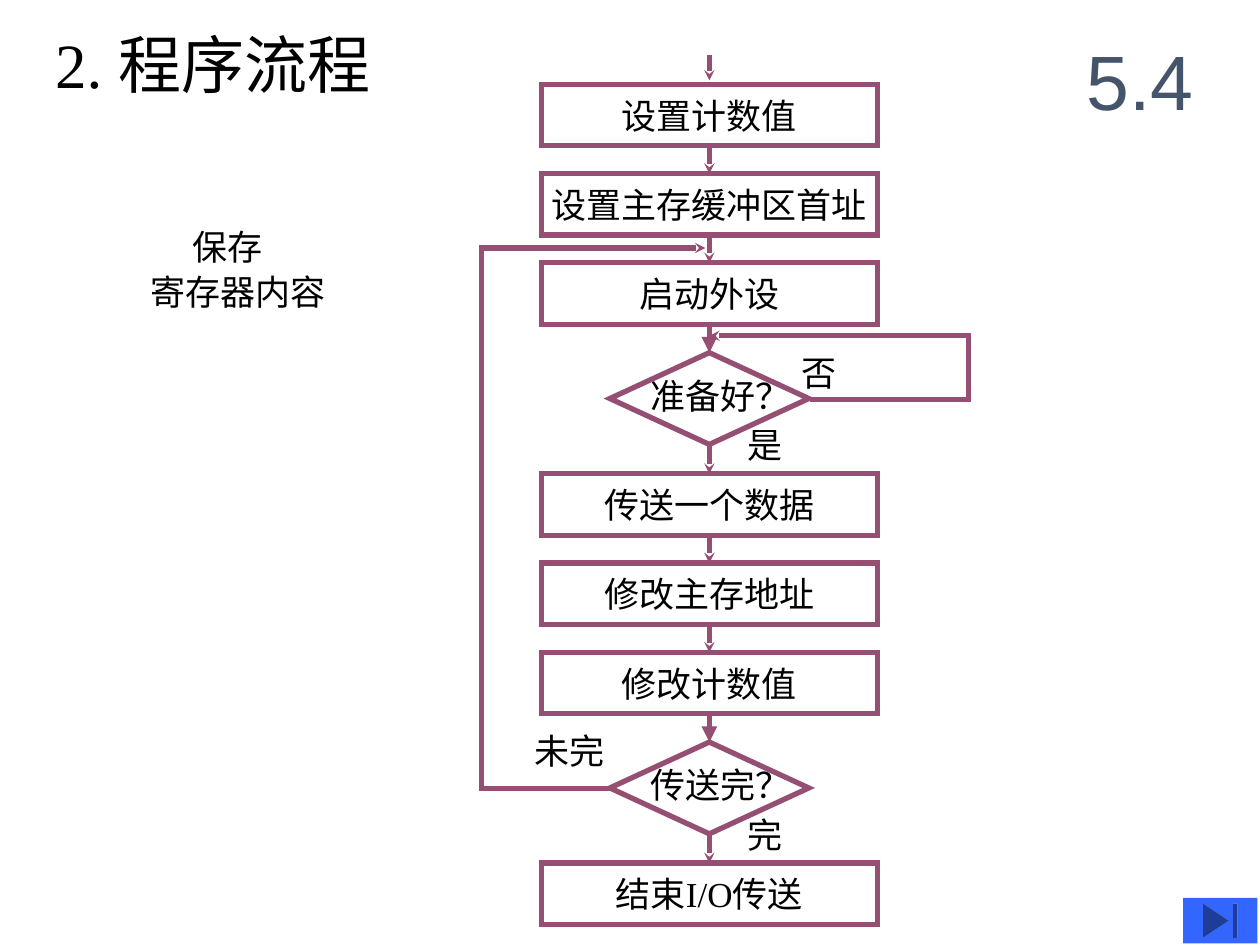
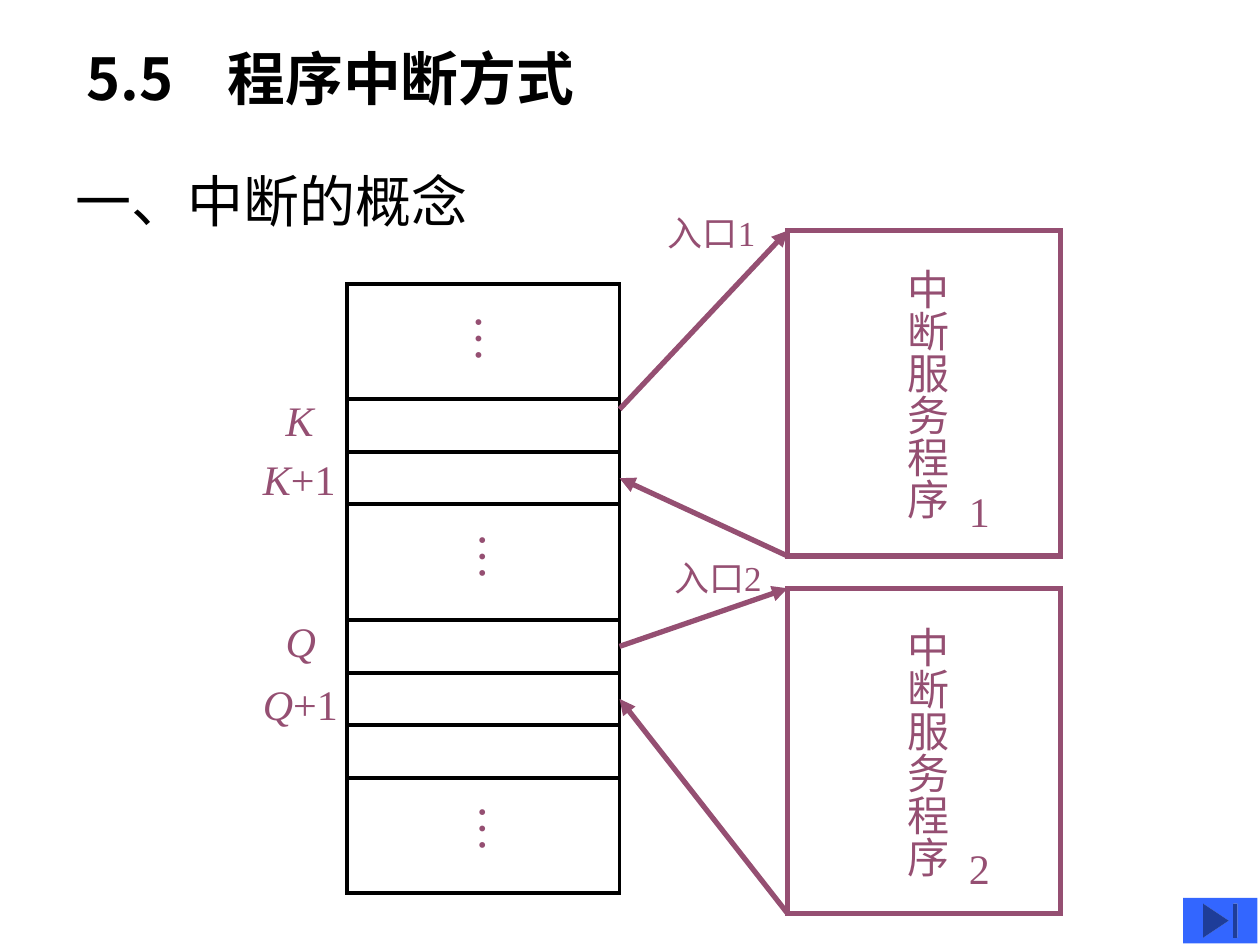
from lxml import etree
from pptx import Presentation
from pptx.dml.color import RGBColor
from pptx.enum.shapes import MSO_CONNECTOR, MSO_SHAPE
from pptx.enum.text import MSO_ANCHOR, MSO_AUTO_SIZE, PP_ALIGN
from pptx.oxml.ns import qn
from pptx.util import Cm, Pt

STRAIGHT = MSO_CONNECTOR.STRAIGHT
RECTANGLE = MSO_SHAPE.RECTANGLE
DIAMOND = MSO_SHAPE.DIAMOND
END_BUTTON = MSO_SHAPE.ACTION_BUTTON_END
MIDDLE = MSO_ANCHOR.MIDDLE
FIT_SHAPE = MSO_AUTO_SIZE.SHAPE_TO_FIT_TEXT
FIXED_SIZE = MSO_AUTO_SIZE.NONE
CENTER = PP_ALIGN.CENTER
TOP, LEFT, BOTTOM, RIGHT = range(4)

PLUM, BLACK, SLATE, BLUE, WHITE = "954F72", "000000", "44546A", "3366FF", "FFFFFF"
SERIF, SANS, CHINESE = "Times New Roman", "Arial", "Noto Sans CJK SC"
INSETS = {"margin_left": Cm(0.25), "margin_right": Cm(0.25),
          "margin_top": Cm(0.13), "margin_bottom": Cm(0.13)}
UPRIGHT_INSETS = {"margin_left": Cm(0.13), "margin_right": Cm(0.13),
                  "margin_top": Cm(0.25), "margin_bottom": Cm(0.25)}
BODY = {"name": SERIF, "size": Pt(20)}
LABEL = {"name": SERIF, "size": Pt(24)}
SPINE = 14.3
STEP_WIDTH, STEP_HEIGHT, STEP_PITCH = 6.78, 1.24, 1.8
CELL_LEFT, CELL_WIDTH = 6.99, 5.5
SERVICE_LEFT, SERVICE_HEIGHT = 15.88, 6.56


def colour(code):
    """Turn a hex string into a colour."""
    return RGBColor.from_string(code)


def apply(target, values):
    """Set every attribute named in a dict of format values."""
    for name, value in values.items():
        setattr(target, name, value)


def write(para, spans, look, tint=BLACK):
    """Fill a paragraph with (text, extra format) spans."""
    for text, extra in spans:
        span = para.add_run()
        span.text = text
        apply(span.font, {**look, **extra})
        span.font.color.rgb = colour(tint)
        etree.SubElement(span._r.get_or_add_rPr(), qn("a:ea"), typeface=CHINESE)


def add_text(page, bounds, text, look=BODY, tint=BLACK, **frame_format):
    """Add a text box holding one paragraph and return its frame."""
    frame = page.shapes.add_textbox(*map(Cm, bounds)).text_frame
    apply(frame, {**INSETS, "word_wrap": False, "auto_size": FIT_SHAPE, **frame_format})
    spans = [(text, {})] if isinstance(text, str) else text
    write(frame.paragraphs[0], spans, look, tint)
    return frame


def add_upright(page, bounds, text, size):
    """Add a text box whose characters run downwards."""
    look = {"name": SERIF, "size": Pt(size)}
    frame = add_text(page, bounds, text, look, PLUM, **UPRIGHT_INSETS)
    frame._txBody.bodyPr.set("vert", "eaVert")


def set_line(line, tint=PLUM, weight=3, head=None, size="med"):
    """Give a line its colour, weight, sharp corners and arrowhead."""
    line.color.rgb = colour(tint)
    line.width = Pt(weight)
    stroke = line._get_or_add_ln()
    etree.SubElement(stroke, qn("a:miter"), lim="800000")
    if head:
        etree.SubElement(stroke, qn("a:tailEnd"), type=head, w=size, len=size)


def add_outline(page, kind, bounds, tint=PLUM, weight=3):
    """Add an unfilled preset shape."""
    box = page.shapes.add_shape(kind, *map(Cm, bounds))
    box.shadow.inherit = False
    box.fill.background()
    set_line(box.line, tint, weight)
    return box


def add_step(page, top, text):
    """Add a process box centred on the spine."""
    box = add_outline(page, RECTANGLE, (SPINE - STEP_WIDTH / 2, top, STEP_WIDTH, STEP_HEIGHT))
    frame = box.text_frame
    apply(frame, {**INSETS, "word_wrap": False, "vertical_anchor": MIDDLE})
    frame.paragraphs[0].alignment = CENTER
    write(frame.paragraphs[0], [(text, {})], BODY)
    return box


def add_decision(page, top, text):
    """Add a decision diamond centred on the spine with its question."""
    width, height = 4.01, 1.85
    add_text(page, (12.86, top + 0.31, 3.4, 1.27), text)
    return add_outline(page, DIAMOND, (SPINE - width / 2, top, width, height))


def add_arrow(page, start, end, head="triangle", size="med", source=None, target=None):
    """Add a straight arrow, joined to (shape, site) pairs where given."""
    arrow = page.shapes.add_connector(STRAIGHT, *map(Cm, (*start, *end)))
    if source:
        arrow.begin_connect(*source)
    if target:
        arrow.end_connect(*target)
    set_line(arrow.line, head=head, size=size)
    etree.SubElement(arrow._element.spPr, qn("a:effectLst"))


def add_loop(page, points):
    """Add an angled return line ending in an arrowhead."""
    corners = [tuple(map(Cm, point)) for point in points]
    builder = page.shapes.build_freeform(*corners[0])
    builder.add_line_segments(corners[1:], close=False)
    loop = builder.convert_to_shape()
    loop.shadow.inherit = False
    loop.fill.background()
    set_line(loop.line, head="stealth", size="sm")


def add_page(deck):
    """Add a blank white page with the navigation button."""
    page = deck.slides.add_slide(deck.slide_layouts[6])
    page.background.fill.solid()
    page.background.fill.fore_color.rgb = colour(WHITE)
    button = page.shapes.add_shape(END_BUTTON, *map(Cm, (23.85, 18.1, 1.5, 0.92)))
    button.shadow.inherit = False
    button.fill.solid()
    button.fill.fore_color.rgb = colour(BLUE)
    button.line.fill.background()
    return page


def add_save_note(page):
    """Add the two-line note about saving registers."""
    frame = add_text(page, (2.36, 4.35, 5.54, 2.5), "保存", word_wrap=True)
    write(frame.add_paragraph(), [("寄存器内容", {})], BODY)
    for para, indent in zip(frame.paragraphs, (1.27, 0.43)):
        para.line_spacing = 1.08
        para._p.get_or_add_pPr().set("marL", str(Cm(indent)))


def build_flow(deck):
    """Build the program flow chart."""
    page = add_page(deck)
    add_text(page, (0.86, 0.39, 7.3, 2.1), "2. 程序流程", {"name": SERIF, "size": Pt(36)})
    number = add_text(page, (21.39, 0.43, 3.18, 2.34), "5.4", {"name": SANS, "size": Pt(44)},
                      SLATE, word_wrap=True, auto_size=FIXED_SIZE, vertical_anchor=MIDDLE)
    number.paragraphs[0].alignment = CENTER
    add_save_note(page)

    setup = [add_step(page, 1.7 + row * STEP_PITCH, text)
             for row, text in enumerate(("设置计数值", "设置主存缓冲区首址", "启动外设"))]
    ready = add_decision(page, 7.11, "准备好？")
    transfer = [add_step(page, 9.55 + row * STEP_PITCH, text)
                for row, text in enumerate(("传送一个数据", "修改主存地址", "修改计数值"))]
    done = add_decision(page, 14.96, "传送完？")
    finish = add_step(page, 17.4, "结束I/O传送")

    chain = [*setup, ready, *transfer, done, finish]
    origin = (SPINE, 0)
    add_arrow(page, (SPINE, 1.1), (SPINE, 1.62), "stealth", "sm")
    for upper, lower in zip(chain, chain[1:]):
        head = ("triangle", "med") if lower in (ready, done) else ("stealth", "sm")
        add_arrow(page, origin, origin, *head, source=(upper, BOTTOM), target=(lower, TOP))

    add_loop(page, [(16.33, 8.05), (19.53, 8.05), (19.53, 6.77), (SPINE, 6.77)])
    add_loop(page, [(12.29, 15.9), (9.7, 15.9), (9.7, 5), (14.22, 5)])
    for left, top, width, answer in ((15.9, 6.96, 1.3, "否"), (14.81, 8.41, 1.3, "是"),
                                     (10.52, 14.58, 2.1, "未完"), (14.81, 16.26, 1.3, "完")):
        add_text(page, (left, top, width, 1.27), answer)


def add_memory(page):
    """Add the column of memory cells and return them."""
    tall, short = 2.33, 1.06
    top, cells = 5.72, []
    for height in (tall, short, short, tall, short, short, short, tall):
        cells.append(add_outline(page, RECTANGLE, (CELL_LEFT, top, CELL_WIDTH, height), BLACK, 2.25))
        top += height
    for left, dots_top in ((9.04, 6.09), (9.12, 10.49), (9.12, 15.97)):
        add_upright(page, (left, dots_top, 1.68, 1.5), "…", 28)
    italic = {"italic": True}
    for letter, tops in (("K", (7.82, 9.02)), ("Q", (12.27, 13.54))):
        add_text(page, (5.51, tops[0], 1.2, 1.27), [(letter, italic)], LABEL, PLUM)
        add_text(page, (5.05, tops[1], 2.2, 1.27), [(letter, italic), ("+1", {})], LABEL, PLUM)
    return cells


def add_service(page, number, top, entry, call_top, call_cell, return_cell):
    """Add an interrupt service box with its call and return arrows."""
    bottom, edge = top + SERVICE_HEIGHT, CELL_LEFT + CELL_WIDTH
    add_outline(page, RECTANGLE, (SERVICE_LEFT, top, 5.5, SERVICE_HEIGHT))
    add_upright(page, (17.81, top + 0.52, 1.52, 5.6), "中断服务程序", 24)
    add_text(page, (19.28, top + 5, 1, 1.27), number, LABEL, PLUM)
    add_text(page, (*entry, 2.6, 1.27), "入口" + number, BODY, PLUM)
    add_arrow(page, (edge, call_top), (SERVICE_LEFT, top),
              source=call_cell and (call_cell, RIGHT))
    add_arrow(page, (SERVICE_LEFT, bottom), (edge, bottom), target=(return_cell, RIGHT))


def build_interrupt(deck):
    """Build the interrupt concept diagram."""
    page = add_page(deck)
    title = add_text(page, (1.5, 0.05, 21.59, 3.18), "5.5\t程序中断方式",
                     {"name": CHINESE, "size": Pt(33), "bold": True}, word_wrap=True,
                     auto_size=FIXED_SIZE, vertical_anchor=MIDDLE)
    heading = title.paragraphs[0]
    heading.line_spacing = 0.9
    stops = etree.SubElement(heading._p.get_or_add_pPr(), qn("a:tabLst"))
    etree.SubElement(stops, qn("a:tab"), pos=str(Cm(2.84)), algn="l")
    add_text(page, (1.27, 3.22, 10.24, 1.9), "一、中断的概念",
             {"name": SERIF, "size": Pt(32)}, word_wrap=True)
    cells = add_memory(page)
    add_service(page, "1", 4.65, (13.21, 4.14), 8.25, None, cells[2])
    add_service(page, "2", 11.86, (13.34, 11.08), 12.98, cells[4], cells[5])


def main():
    """Build and save the deck."""
    deck = Presentation()
    deck.slide_width, deck.slide_height = Cm(25.4), Cm(19.05)
    build_flow(deck)
    build_interrupt(deck)
    deck.save("out.pptx")


if __name__ == "__main__":
    main()
